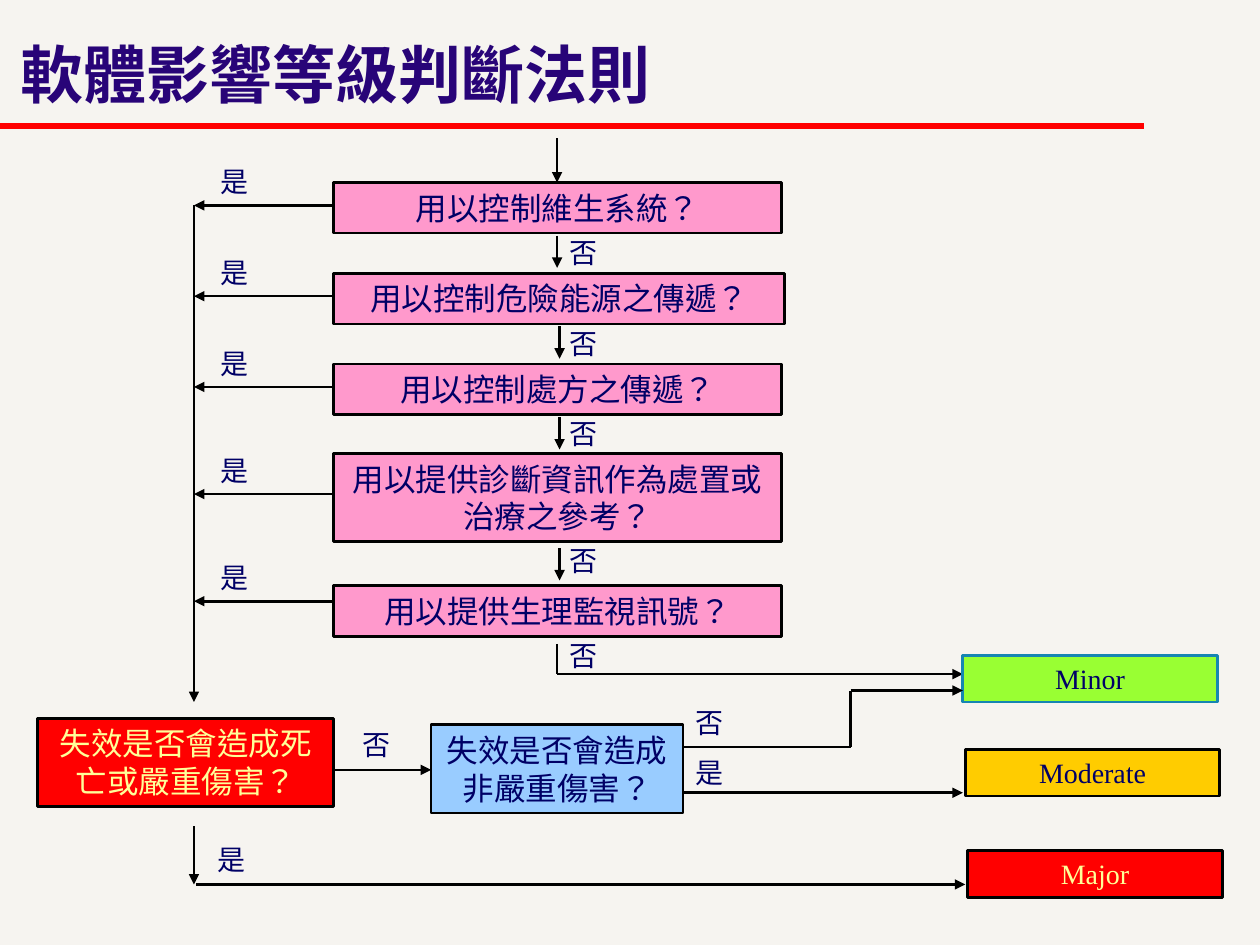
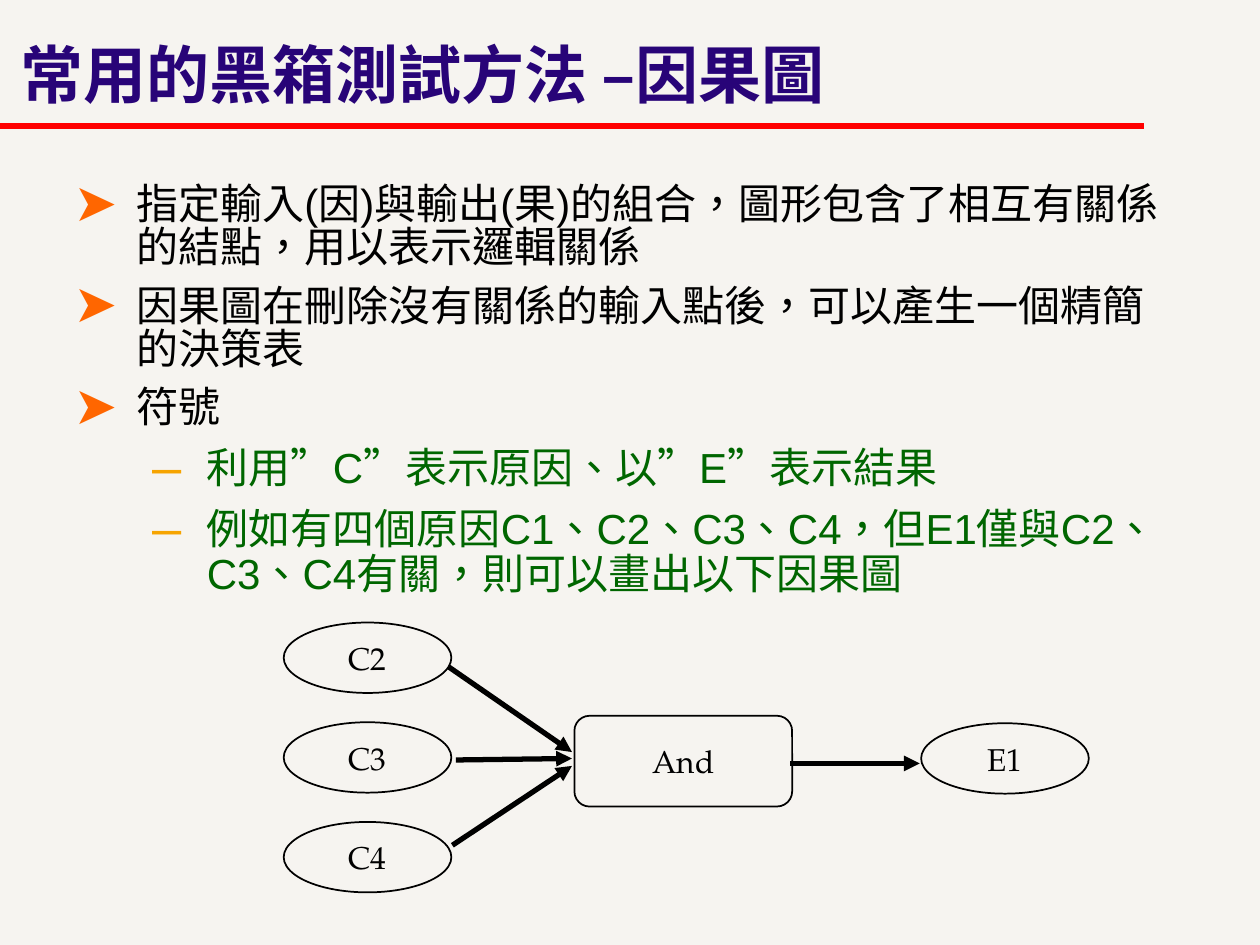
import dataclasses

import lxml.etree
import pptx
import pptx.dml.color
import pptx.enum.lang
import pptx.enum.shapes
import pptx.enum.text
import pptx.oxml.ns
import pptx.util

Cm = pptx.util.Cm
Pt = pptx.util.Pt
qn = pptx.oxml.ns.qn
ALIGN = pptx.enum.text.PP_ALIGN
ANCHOR = pptx.enum.text.MSO_ANCHOR
SHAPE = pptx.enum.shapes.MSO_SHAPE


@dataclasses.dataclass(frozen=True)
class Theme:
    background: str = "F6F4F0"
    title: str = "280478"
    black: str = "000000"
    navy: str = "000066"
    cream: str = "FFFF99"
    red: str = "FF0000"
    pink: str = "FF99CC"
    blue: str = "99CCFF"
    lime: str = "99FF33"
    amber: str = "FFCC00"
    minor_border: str = "1685B2"
    green: str = "006600"
    arrow_bullet: str = "FF6600"
    dash_bullet: str = "F6A400"
    serif: str = "Times New Roman"
    sans: str = "Arial"
    diagram: str = "TeX Gyre Pagella"
    title_size: int = 36
    body_size: int = 24
    box_size: int = 18
    label_size: int = 16


THEME = Theme()


def rgb(value):
    return pptx.dml.color.RGBColor.from_string(value)


def add_run(paragraph, text, font_name, size, color, bold=False):
    run = paragraph.add_run()
    run.text = text
    font = run.font
    font.name, font.size, font.bold = font_name, Pt(size), bold
    font.color.rgb = rgb(color)
    font.language_id = pptx.enum.lang.MSO_LANGUAGE_ID.TRADITIONAL_CHINESE


def place(shape, left, top, width, height):
    shape.left, shape.top = Cm(left), Cm(top)
    shape.width, shape.height = Cm(width), Cm(height)


def set_frame(frame, anchor, wide_margins=False, wrap=True):
    frame.auto_size = pptx.enum.text.MSO_AUTO_SIZE.NONE
    frame.word_wrap = wrap
    frame.vertical_anchor = anchor
    if wide_margins:
        frame.margin_left = frame.margin_right = Cm(0.41)
        frame.margin_top = frame.margin_bottom = Cm(0.2)


def add_line(slide, start, end, color=THEME.black, width=1.5, arrow=True):
    connector = slide.shapes.add_connector(
        pptx.enum.shapes.MSO_CONNECTOR.STRAIGHT,
        *(Cm(value) for value in (*start, *end)))
    connector.line.color.rgb = rgb(color)
    connector.line.width = Pt(width)
    properties = connector.element.spPr
    if arrow:
        outline = properties.find(qn("a:ln"))
        lxml.etree.SubElement(outline, qn("a:tailEnd"), type="triangle")
    lxml.etree.SubElement(properties, qn("a:effectLst"))
    return connector


def add_route(slide, *points):
    """Join the points with lines; the last one has an arrowhead."""
    for index in range(len(points) - 1):
        add_line(slide, points[index], points[index + 1],
                 arrow=index == len(points) - 2)


def add_outlined(slide, kind, area, border, border_width, fill=None):
    shape = slide.shapes.add_shape(kind, *(Cm(value) for value in area))
    shape.shadow.inherit = False
    if fill:
        shape.fill.solid()
        shape.fill.fore_color.rgb = rgb(fill)
    else:
        shape.fill.background()
    shape.line.color.rgb = rgb(border)
    shape.line.width = Pt(border_width)
    shape.text_frame.paragraphs[0].alignment = ALIGN.CENTER
    return shape


def add_box(slide, text, area, fill, color=THEME.navy, size=THEME.box_size,
            border=THEME.black):
    shape = add_outlined(slide, SHAPE.RECTANGLE, area, border, 1.5, fill)
    set_frame(shape.text_frame, ANCHOR.TOP)
    add_run(shape.text_frame.paragraphs[0], text, THEME.serif, size, color)


def add_node(slide, text, area, kind=SHAPE.OVAL):
    shape = add_outlined(slide, kind, area, THEME.black, 1)
    set_frame(shape.text_frame, ANCHOR.MIDDLE, wide_margins=True, wrap=False)
    add_run(shape.text_frame.paragraphs[0], text, THEME.diagram,
            THEME.box_size, THEME.black)


def add_label(slide, text, left, top):
    label = slide.shapes.add_textbox(Cm(left), Cm(top), Cm(1.07), Cm(0.94))
    set_frame(label.text_frame, ANCHOR.TOP, wrap=False)
    add_run(label.text_frame.paragraphs[0], text, THEME.serif,
            THEME.label_size, THEME.navy)


def set_title(slide, text, font_name):
    title = slide.shapes.title
    place(title, 0, 0, 22.61, 3.18)
    set_frame(title.text_frame, ANCHOR.MIDDLE, wide_margins=True)
    paragraph = title.text_frame.paragraphs[0]
    paragraph.alignment = ALIGN.LEFT
    paragraph.line_spacing = 0.85
    add_run(paragraph, text, font_name, THEME.title_size, THEME.title, True)


def set_bullet(paragraph, character, color, left, hanging):
    properties = paragraph._p.get_or_add_pPr()
    properties.set("marL", str(Cm(left)))
    properties.set("indent", str(-Cm(hanging)))
    bullet_color = lxml.etree.SubElement(properties, qn("a:buClr"))
    lxml.etree.SubElement(bullet_color, qn("a:srgbClr"), val=color)
    lxml.etree.SubElement(properties, qn("a:buSzPct"), val="125000")
    lxml.etree.SubElement(properties, qn("a:buChar"), char=character)


def set_body(slide, items):
    body = slide.placeholders[1]
    place(body, 1.07, 3.18, 23.19, 9.45)
    frame = body.text_frame
    set_frame(frame, ANCHOR.MIDDLE, wide_margins=True)
    for index, (level, text) in enumerate(items):
        paragraph = frame.add_paragraph() if index else frame.paragraphs[0]
        if level:
            set_bullet(paragraph, "–", THEME.dash_bullet, 2.69, 1.09)
        else:
            set_bullet(paragraph, "➤", THEME.arrow_bullet, 1.27, 1.27)
        paragraph.level = level
        paragraph.alignment = ALIGN.LEFT
        paragraph.line_spacing = 0.9 if level else 0.85
        paragraph.space_before = Pt(1.5 if index else 0)
        paragraph.space_after = Pt(7.5)
        add_run(paragraph, text, THEME.sans, THEME.body_size,
                THEME.green if level else THEME.black)


def style_master(presentation, slide):
    """Give the master the background and the red rule under the title."""
    master = presentation.slide_master
    master.background.fill.solid()
    master.background.fill.fore_color.rgb = rgb(THEME.background)
    rule = add_line(slide, (0, 2.54), (23.06, 2.54), THEME.red, 3, arrow=False)
    master.shapes.element.append(rule.element)


def build_decision_slide(slide):
    set_title(slide, "軟體影響等級判斷法則", THEME.serif)
    yes_x, box_x, no_x, result_x = 3.91, 6.73, 11.23, 19.41

    # Questions: text, top, width, height, "yes" arrow y, "no" arrow x and y
    questions = [
        ("用以控制維生系統？", 3.68, 9.02, 1.02, 4.14, no_x, 4.75),
        ("用以控制危險能源之傳遞？", 5.51, 9.09, 1.02, 5.97, 11.28, 6.58),
        ("用以控制處方之傳遞？", 7.34, 9.02, 1.02, 7.8, 11.28, 8.41),
        ("用以提供診斷資訊作為處置或治療之參考？",
         9.14, 9.02, 1.78, 9.96, 11.28, 11.05),
        ("用以提供生理監視訊號？", 11.81, 9.02, 1.02, 12.12, no_x, 12.98),
    ]
    add_route(slide, (no_x, 2.79), (no_x, 3.68))
    for text, top, width, height, yes_y, drop_x, drop_y in questions:
        add_box(slide, text, (box_x, top, width, height), THEME.pink)
        add_route(slide, (box_x, yes_y), (yes_x, yes_y))
        add_label(slide, "是", 4.19, yes_y - 0.94)
        add_label(slide, "否", no_x, top + height - 0.08)
        if text != questions[-1][0]:
            add_route(slide, (drop_x, drop_y), (drop_x, drop_y + 0.65))
    add_route(slide, (no_x, 12.98), (no_x, 13.59), (result_x, 13.59))

    # Harm questions
    add_box(slide, "失效是否會造成死亡或嚴重傷害？",
            (0.76, 14.48, 5.97, 1.78), THEME.red, THEME.cream)
    add_box(slide, "失效是否會造成非嚴重傷害？",
            (8.69, 14.61, 5.08, 1.78), THEME.blue)

    # Result levels
    add_box(slide, "Minor", (result_x, 13.21, 5.13, 0.94), THEME.lime,
            size=THEME.label_size, border=THEME.minor_border)
    add_box(slide, "Moderate", (19.46, 15.11, 5.13, 0.94), THEME.amber,
            size=THEME.label_size)
    add_box(slide, "Major", (19.51, 17.15, 5.13, 0.94), THEME.red,
            THEME.cream, THEME.label_size)

    # Routes to the results
    add_route(slide, (yes_x, 4.14), (yes_x, 14.15))
    add_route(slide, (yes_x, 16.66), (yes_x, 17.83))
    add_route(slide, (3.96, 17.83), (19.46, 17.83))
    add_route(slide, (box_x, 15.52), (8.69, 15.52))
    add_route(slide, (13.77, 15.06), (17.15, 15.06), (17.15, 13.92),
              (result_x, 13.92))
    add_route(slide, (13.77, 15.98), (result_x, 15.98))
    for text, left, top in [("否", 13.77, 14.1), ("是", 13.77, 15.11),
                            ("否", 7.06, 14.55), ("是", 4.14, 16.87)]:
        add_label(slide, text, left, top)


def build_cause_effect_slide(slide):
    set_title(slide, "常用的黑箱測試方法 –因果圖", THEME.sans)
    set_body(slide, [
        (0, "指定輸入(因)與輸出(果)的組合，圖形包含了相互有關係的結點，用以表示邏輯關係"),
        (0, "因果圖在刪除沒有關係的輸入點後，可以產生一個精簡的決策表"),
        (0, "符號"),
        (1, "利用”C”表示原因、以”E”表示結果"),
        (1, "例如有四個原因C1、C2、C3、C4，但E1僅與C2、C3、C4有關，則可以畫出以下因果圖"),
    ])

    # Causes, operator and effect
    for row, cause in enumerate(("C2", "C3", "C4")):
        add_node(slide, cause, (5.72, 12.55 + 2.01 * row, 3.38, 1.42))
    add_node(slide, "And", (11.58, 14.43, 4.39, 1.83),
             SHAPE.ROUNDED_RECTANGLE)
    add_node(slide, "E1", (18.57, 14.58, 3.38, 1.42))
    for start, end in [((9.04, 13.44), (11.53, 15.16)),
                       ((9.19, 15.32), (11.53, 15.29)),
                       ((9.12, 17.04), (11.53, 15.44)),
                       ((15.93, 15.39), (18.54, 15.39))]:
        add_line(slide, start, end, width=3)


def main():
    presentation = pptx.Presentation()
    presentation.slide_width, presentation.slide_height = Cm(25.4), Cm(19.05)
    layouts = presentation.slide_layouts
    decision_slide = presentation.slides.add_slide(
        layouts.get_by_name("Title Only"))
    style_master(presentation, decision_slide)
    build_decision_slide(decision_slide)
    build_cause_effect_slide(presentation.slides.add_slide(
        layouts.get_by_name("Title and Content")))
    presentation.save("out.pptx")


if __name__ == "__main__":
    main()
